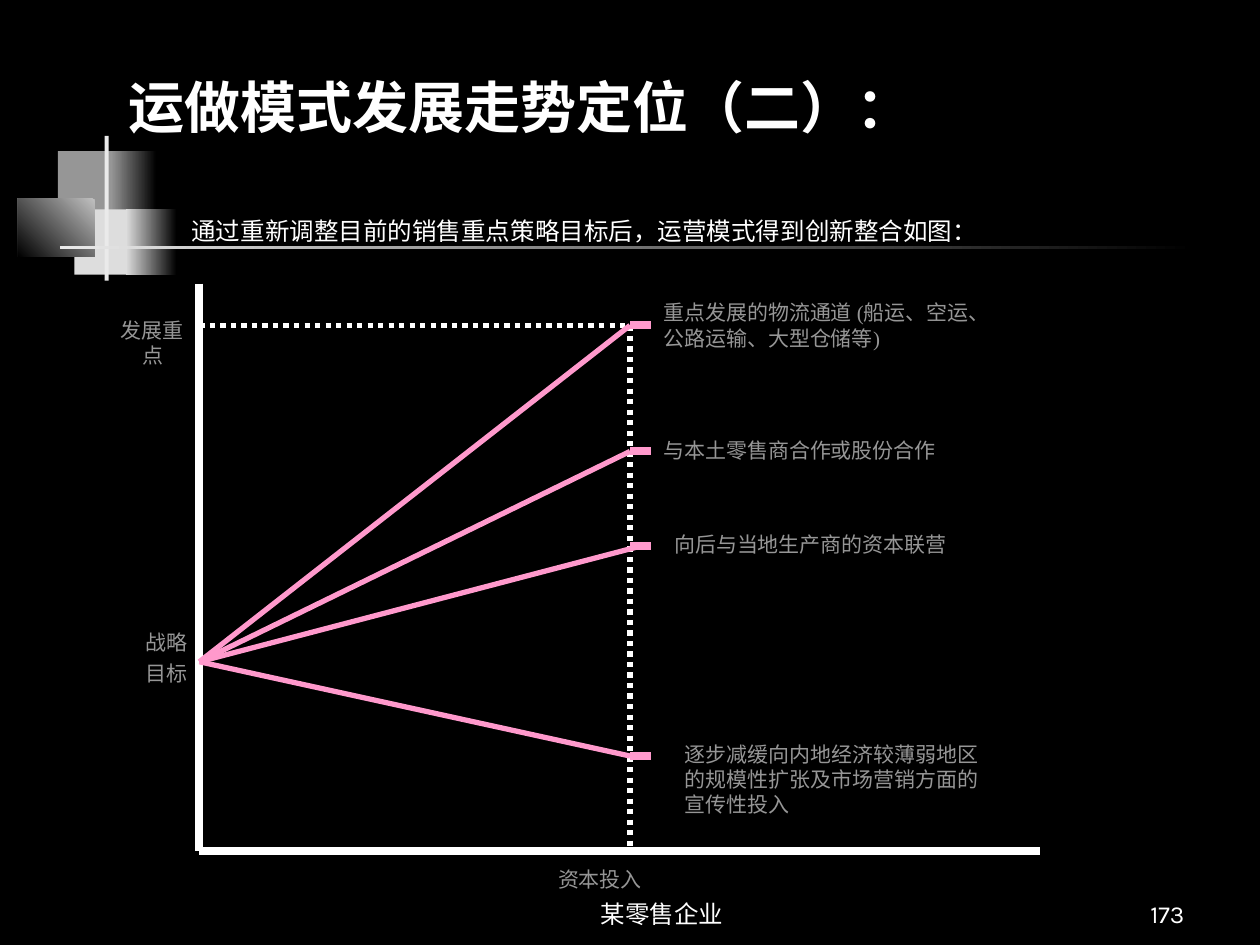
"""Build the strategy fan slide with python-pptx."""
from dataclasses import dataclass

from lxml.etree import SubElement
from pptx import Presentation
from pptx.dml.color import RGBColor
from pptx.enum.dml import MSO_LINE
from pptx.enum.shapes import MSO_CONNECTOR, MSO_SHAPE
from pptx.enum.text import MSO_ANCHOR, MSO_AUTO_SIZE, PP_ALIGN
from pptx.oxml.ns import qn
from pptx.util import Cm, Pt

WHITE, GREY, PINK, BLACK = "FFFFFF", "969696", "FF99CC", "000000"
SANS, SERIF = "Karla", "Times New Roman"
AXIS_X, AXIS_TOP, AXIS_Y, AXIS_RIGHT = 4.02, 5.72, 17.15, 20.96
GOAL_Y, INVEST_X, TICK_END = 13.34, 12.7, 13.12


@dataclass
class Block:
    """A decorative rectangle, faded when it has a second colour."""
    box: tuple
    color: str
    fade: str = ""
    angle: int = 180


@dataclass
class Branch:
    """One strategy: its level, the end of its ray and its label."""
    y: float
    ray_x: float
    text: str
    box: tuple
    font: str = SANS


BLOCKS = [
    Block((1.17, 3.05, 1.22, 1.32), GREY),
    Block((2.24, 3.05, 0.91, 1.32), BLACK, GREY),
    Block((1.5, 4.22, 1.17, 1.32), "DDDDDD"),
    Block((2.54, 4.22, 1.02, 1.32), BLACK, "DDDDDD"),
    Block((0.36, 4.01, 1.55, 1.17), "C0C0C0", BLACK, 225),
    Block((2.11, 2.74, 0.08, 2.92), "EAEAEA"),
    Block((1.22, 4.95, 22.86, 0.08), BLACK, "EAEAEA"),
]

BRANCHES = [
    Branch(6.56, INVEST_X, "重点发展的物流通道 (船运、空运、公路运输、大型仓储等)",
           (13.12, 5.92, 6.76, 1.27), SERIF),
    Branch(9.1, INVEST_X, "与本土零售商合作或股份合作", (13.12, 8.69, 6.55, 0.76)),
    Branch(11.01, 12.91, "向后与当地生产商的资本联营", (13.34, 10.59, 6.35, 0.76)),
    Branch(15.24, INVEST_X, "逐步减缓向内地经济较薄弱地区的规模性扩张及市场营销方面的宣传性投入",
           (13.55, 14.82, 6.76, 1.78), SERIF),
]


def rgb(color: str) -> RGBColor:
    """Turn a hex string into a colour."""
    return RGBColor.from_string(color)


def add_block(slide, block: Block) -> None:
    """Draw one decorative rectangle."""
    sp = slide.shapes.add_shape(MSO_SHAPE.RECTANGLE, *map(Cm, block.box))
    sp.shadow.inherit = False
    sp.line.fill.background()
    if not block.fade:
        sp.fill.solid()
        sp.fill.fore_color.rgb = rgb(block.color)
        return
    sp.fill.gradient()
    sp.fill.gradient_angle = block.angle
    for stop, color in zip(sp.fill.gradient_stops, (block.color, block.fade)):
        stop.color.rgb = rgb(color)


def add_line(slide, start: tuple, end: tuple, color: str, width: float,
             dotted: bool = False) -> None:
    """Draw a straight line without a shadow."""
    line = slide.shapes.add_connector(
        MSO_CONNECTOR.STRAIGHT, *map(Cm, start + end))
    line.line.color.rgb = rgb(color)
    line.line.width = Pt(width)
    if dotted:
        line.line.dash_style = MSO_LINE.ROUND_DOT
    SubElement(line._element.spPr, qn("a:effectLst"))


def write(sp, text: str, size: int = 12, font: str = SANS, color: str = GREY,
          bold: bool = False, align=PP_ALIGN.LEFT, anchor=MSO_ANCHOR.TOP,
          spacing: float = 1.0, gap: float = 0, inset: bool = True) -> None:
    """Fill a shape with formatted text, one paragraph a line."""
    tf = sp.text_frame
    tf.word_wrap = True
    tf.auto_size = MSO_AUTO_SIZE.NONE
    tf.vertical_anchor = anchor
    if not inset:
        tf.margin_left = tf.margin_right = tf.margin_top = tf.margin_bottom = 0
    tf.text = text
    for i, p in enumerate(tf.paragraphs):
        p.alignment = align
        p.line_spacing = spacing
        p.space_before = Pt(gap if i else 0)
        r = p.runs[0]
        r.font.name, r.font.size, r.font.bold = font, Pt(size), bold
        r.font.color.rgb = rgb(color)


def add_label(slide, box: tuple, text: str, **style) -> None:
    """Add a text box with formatted text."""
    write(slide.shapes.add_textbox(*map(Cm, box)), text, **style)


def main() -> None:
    """Build and save the slide."""
    prs = Presentation()
    prs.slide_width, prs.slide_height = Cm(25.4), Cm(19.05)
    s = prs.slides.add_slide(prs.slide_layouts[5])
    s.background.fill.solid()
    s.background.fill.fore_color.rgb = rgb(BLACK)

    for block in BLOCKS:
        add_block(s, block)

    title = s.shapes.title
    title.left, title.top, title.width, title.height = map(
        Cm, (2.34, 1.47, 17.35, 1.47))
    write(title, "运做模式发展走势定位（二）：", size=32, color=WHITE, bold=True,
          anchor=MSO_ANCHOR.BOTTOM)

    origin, top = (AXIS_X, AXIS_Y), BRANCHES[0].y
    add_line(s, (AXIS_X, AXIS_TOP), origin, WHITE, 4.5)
    add_line(s, origin, (AXIS_RIGHT, AXIS_Y), WHITE, 4.5)
    add_line(s, (AXIS_X, top), (INVEST_X, top), WHITE, 3, dotted=True)
    add_line(s, (INVEST_X, top), (INVEST_X, AXIS_Y), WHITE, 3, dotted=True)

    for b in BRANCHES:
        add_line(s, (AXIS_X, GOAL_Y), (b.ray_x, b.y), PINK, 3)
        add_line(s, (INVEST_X, b.y), (TICK_END, b.y), PINK, 4.5)
        add_label(s, b.box, b.text, font=b.font)

    add_label(s, (2.34, 12.7, 1.7, 1.24), "战略\n目标", font=SERIF,
              align=PP_ALIGN.RIGHT, spacing=0.7, gap=7.5)
    add_label(s, (2.34, 6.4, 1.47, 1.02), "发展重点", align=PP_ALIGN.CENTER,
              anchor=MSO_ANCHOR.MIDDLE, inset=False)
    add_label(s, (11, 17.35, 3.18, 0.76), "资本投入")
    add_label(s, (3.61, 4.24, 16.31, 0.86),
              "通过重新调整目前的销售重点策略目标后，运营模式得到创新整合如图：",
              size=14, color=WHITE)
    add_label(s, (9.32, 17.58, 8.05, 1.27), "某零售企业", size=14, color=WHITE,
              align=PP_ALIGN.CENTER, anchor=MSO_ANCHOR.BOTTOM)
    add_label(s, (18.85, 17.58, 5.28, 1.27), "173", size=14, color=WHITE,
              align=PP_ALIGN.RIGHT, anchor=MSO_ANCHOR.BOTTOM)

    prs.save("out.pptx")


if __name__ == "__main__":
    main()
